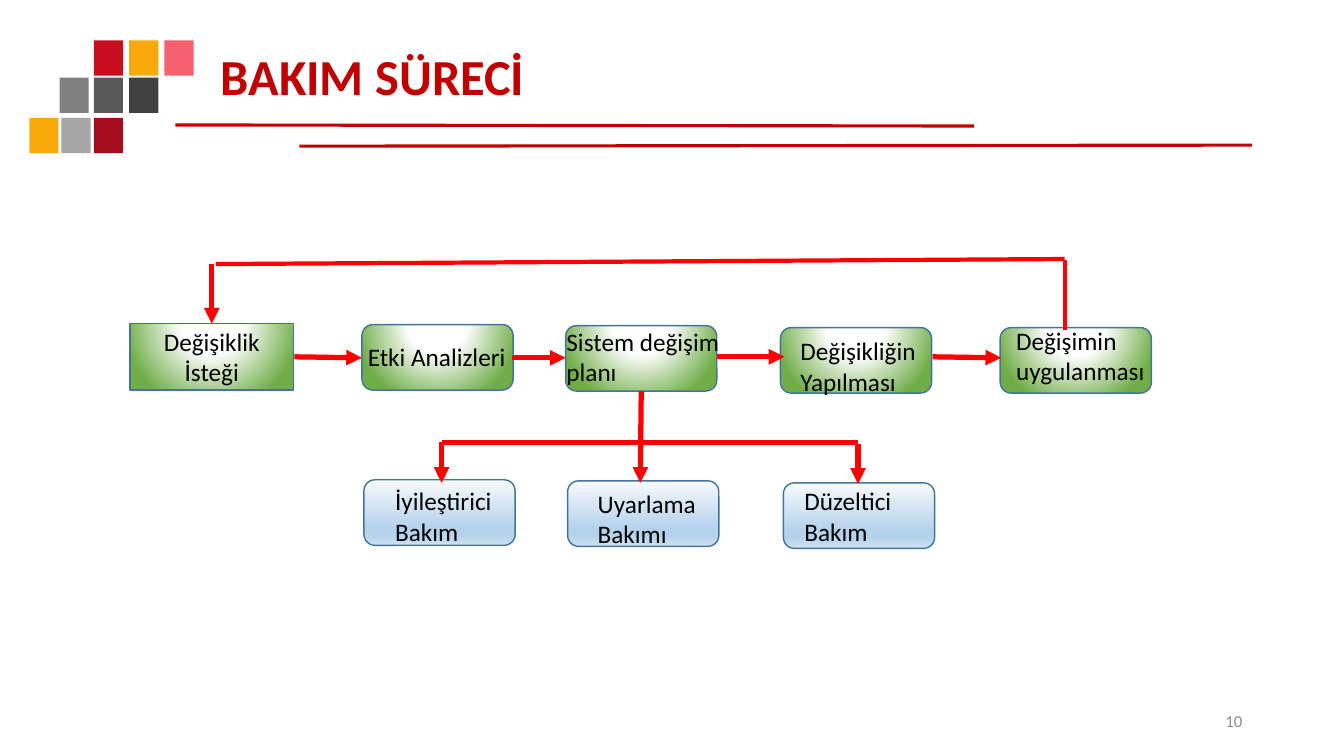
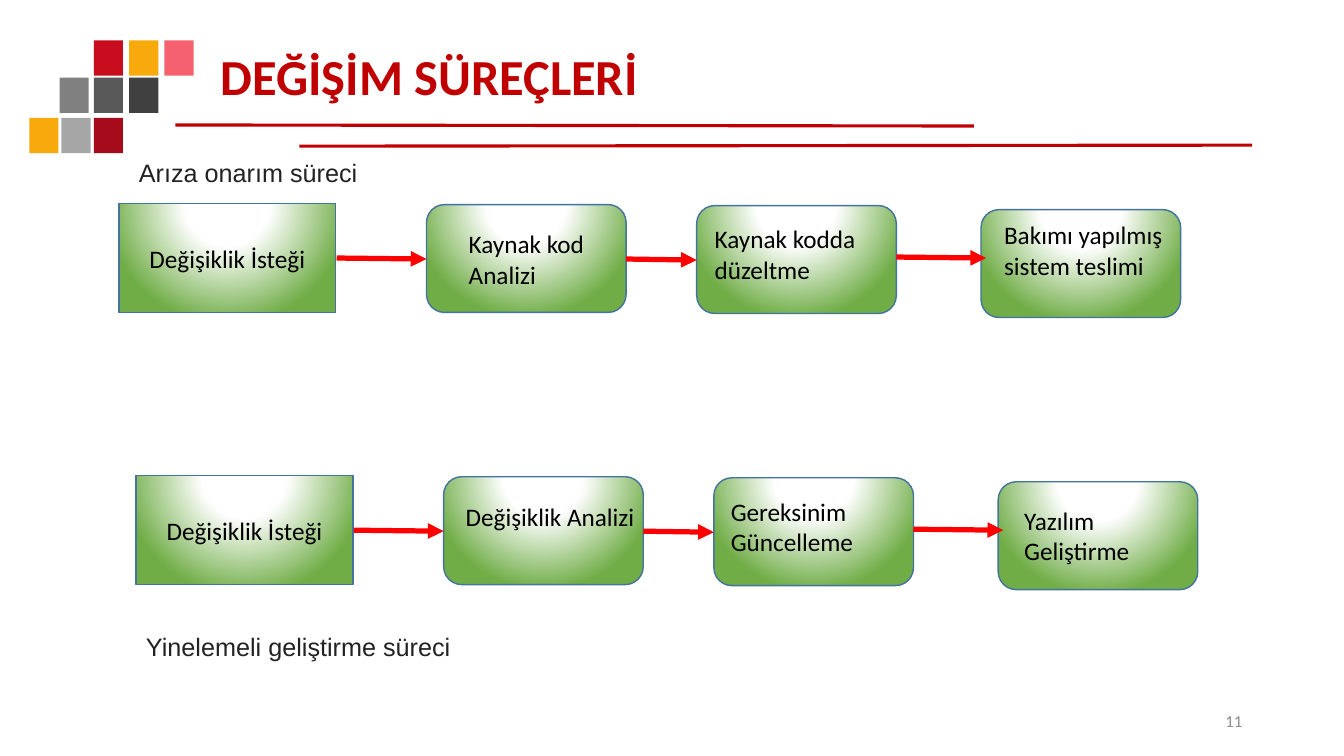
import pptx
import pptx.dml.color
import pptx.enum.shapes
import pptx.enum.text
import pptx.oxml
import pptx.util
import lxml.etree

Inches = pptx.util.Inches
Pt = pptx.util.Pt
RGB = pptx.dml.color.RGBColor
Kind = pptx.enum.shapes.MSO_SHAPE
Align = pptx.enum.text.PP_ALIGN
Anchor = pptx.enum.text.MSO_ANCHOR
NS = "http://schemas.openxmlformats.org/drawingml/2006/main"

RED = RGB(0xC0, 0x00, 0x00)
ARROW = RGB(0xFF, 0x00, 0x00)
EDGE = RGB(0x43, 0x73, 0x9E)
BLACK = RGB(0x00, 0x00, 0x00)
DARK = RGB(0x22, 0x22, 0x22)
GREY = RGB(0x8C, 0x8C, 0x8C)
GOLD = RGB(0xF8, 0xA9, 0x0C)
WHITE = RGB(0xFF, 0xFF, 0xFF)
GREEN = RGB(0x70, 0xAD, 0x47)
PALE = RGB(0xF7, 0xFA, 0xFD)
SKY = RGB(0xB5, 0xD2, 0xEC)
MIST = RGB(0xCE, 0xE1, 0xF2)

TILES = [
    (0.4, [(0.93, RGB(0xC8, 0x0D, 0x1F)), (1.28, GOLD), (1.63, RGB(0xF5, 0x61, 0x6F))]),
    (0.77, [(0.59, RGB(0x80, 0x80, 0x80)), (0.93, RGB(0x59, 0x59, 0x59)),
            (1.28, RGB(0x40, 0x40, 0x40))]),
    (1.17, [(0.29, GOLD), (0.61, RGB(0xA6, 0xA6, 0xA6)), (0.93, RGB(0xA5, 0x0B, 0x1A))]),
]
RULES = [(1.74, 1.24, 9.66, 1.25), (2.97, 1.45, 12.42, 1.44)]

GLOW = ([(0, WHITE), (35, WHITE), (100, GREEN)],
        '<a:path path="circle"><a:fillToRect l="50000" t="-80000" r="50000" b="180000"/></a:path>')
FADE = ([(0, PALE), (74, SKY), (83, SKY), (100, MIST)], '<a:lin ang="5400000" scaled="0"/>')

REQUEST = "Değişiklik İsteği"
CARE = {
    "start": (1.29, 3.21, 1.62, 0.66),
    "size": (1.5, 0.65),
    "steps": [(3.59, 3.22), (5.61, 3.23), (7.74, 3.25), (9.92, 3.25)],
    "kinds": [(3.61, 4.76), (5.63, 4.77), (7.77, 4.79)],
    "lines": [(2.14, 2.62, 10.56, 2.57), (10.56, 2.58, 10.56, 3.27), (4.38, 4.39, 8.51, 4.39)],
    "arrows": [
        (2.92, 3.54, 3.59, 3.55), (5.08, 3.55, 5.61, 3.55), (7.11, 3.54, 7.78, 3.54),
        (9.25, 3.54, 9.93, 3.55), (2.1, 2.62, 2.1, 3.21), (4.38, 4.39, 4.38, 4.79),
        (8.51, 4.4, 8.51, 4.8), (6.36, 3.88, 6.35, 4.79),
    ],
    "labels": [
        (3.55, 3.34, 1.77, "Etki Analizleri"),
        (5.52, 3.19, 1.73, "Sistem değişim\nplanı"),
        (7.84, 3.28, 1.99, "Değişikliğin Yapılması"),
        (9.98, 3.18, 1.66, "Değişimin uygulanması"),
        (3.82, 4.77, 1.29, "İyileştirici\nBakım"),
        (5.83, 4.79, 1.29, "Uyarlama\nBakımı"),
        (7.88, 4.77, 1.29, "Düzeltici\nBakım"),
    ],
}
CHAIN = {
    "start": (1.18, 2.02, 2.15, 1.08),
    "size": (1.98, 1.07),
    "steps": [(4.23, 2.03), (6.91, 2.04), (9.73, 2.08)],
    "arrows": [(3.34, 2.56, 4.23, 2.57), (6.21, 2.57, 6.91, 2.58), (8.89, 2.55, 9.78, 2.56)],
}
REPAIR = [
    (4.55, 2.22, 1.95, "Kaynak kod Analizi"),
    (6.99, 2.17, 1.9, "Kaynak kodda düzeltme"),
    (9.86, 2.13, 1.82, "Bakımı yapılmış sistem teslimi"),
]
GROWTH = [
    (4.52, 4.92, 1.95, "Değişiklik Analizi"),
    (6.99 + 0.16, 4.87, 1.9, "Gereksinim\nGüncelleme"),
    (10.06, 4.96, 1.82, "Yazılım Geliştirme"),
]
SHIFT = (0.17, 2.7)
NOTES = [(1.28, 1.51, 3.74, "Arıza onarım süreci"),
         (1.35, 6.21, 3.4, "Yinelemeli geliştirme süreci")]

BODY = {"name": "Calibri", "size": Pt(18)}
HEAD = {"name": "Calibri", "size": Pt(36), "bold": True}
FOOT = {"name": "Calibri", "size": Pt(12)}
NOTE = {"name": "Arial", "size": Pt(18)}


def apply(thing, looks):
    for key, value in looks.items():
        setattr(thing, key, value)


def write(frame, text, looks, color, align=Align.LEFT, anchor=Anchor.TOP, **extra):
    apply(frame, {"text": text, "word_wrap": True, "vertical_anchor": anchor})
    for para in frame.paragraphs:
        apply(para, {"alignment": align, **extra})
        for run in para.runs:
            apply(run.font, looks)
            run.font.color.rgb = color


def label(slide, left, top, width, text, looks=BODY, color=BLACK, height=0.4, **extra):
    box = slide.shapes.add_textbox(*map(Inches, (left, top, width, height)))
    write(box.text_frame, text, looks, color, **extra)


def blend(shape, fade):
    stops, way = fade
    marks = "".join(f'<a:gs pos="{pos * 1000}"><a:srgbClr val="{color}"/></a:gs>'
                    for pos, color in stops)
    shape._element.spPr.append(pptx.oxml.parse_xml(
        f'<a:gradFill xmlns:a="{NS}" rotWithShape="1"><a:gsLst>{marks}</a:gsLst>{way}</a:gradFill>'))


def block(slide, kind, place, fade):
    shape = slide.shapes.add_shape(kind, *map(Inches, place))
    blend(shape, fade)
    shape.shadow.inherit = False
    shape.line.color.rgb = EDGE
    shape.line.width = Pt(1)
    return shape


def stroke(slide, ends, color, width, arrow=False):
    line = slide.shapes.add_connector(pptx.enum.shapes.MSO_CONNECTOR.STRAIGHT,
                                      *map(Inches, ends))
    line.line.color.rgb = color
    line.line.width = Pt(width)
    if arrow:
        lxml.etree.SubElement(line.line._get_or_add_ln(), f"{{{NS}}}tailEnd", type="triangle")
    lxml.etree.SubElement(line._element.spPr, f"{{{NS}}}effectLst")


def flow(slide, plan, labels, shift=(0, 0)):
    right, down = shift
    left, top, width, height = plan["start"]
    start = block(slide, Kind.RECTANGLE, (left + right, top + down, width, height), GLOW)
    write(start.text_frame, REQUEST, BODY, BLACK, Align.CENTER, Anchor.MIDDLE)
    for part, fade in (("steps", GLOW), ("kinds", FADE)):
        for left, top in plan.get(part, []):
            block(slide, Kind.FLOWCHART_ALTERNATE_PROCESS,
                  (left + right, top + down, *plan["size"]), fade)
    for part, width in (("arrows", 3.75), ("lines", 3)):
        for x1, y1, x2, y2 in plan.get(part, []):
            stroke(slide, (x1 + right, y1 + down, x2 + right, y2 + down),
                   ARROW, width, part == "arrows")
    for item in labels:
        label(slide, *item, height=0.71)


def page(deck, title, number):
    slide = deck.slides.add_slide(deck.slide_layouts[5])
    for top, row in TILES:
        for left, color in row:
            tile = slide.shapes.add_shape(Kind.RECTANGLE, *map(Inches, (left, top, 0.29, 0.35)))
            tile.shadow.inherit = False
            tile.fill.solid()
            tile.fill.fore_color.rgb = color
            tile.line.fill.background()
    for ends in RULES:
        stroke(slide, ends, RED, 2.25)
    head = slide.shapes.title
    apply(head, dict(zip(("left", "top", "width", "height"),
                         map(Inches, (2.09, 0.4, 10.32, 0.77)))))
    head.text_frame.auto_size = pptx.enum.text.MSO_AUTO_SIZE.NONE
    write(head.text_frame, title, HEAD, RED, anchor=Anchor.MIDDLE, line_spacing=0.9)
    label(slide, 9.42, 6.95, 3, str(number), FOOT, GREY, align=Align.RIGHT, anchor=Anchor.MIDDLE)
    return slide


def main():
    deck = pptx.Presentation()
    apply(deck, {"slide_width": Inches(13.33), "slide_height": Inches(7.5)})
    flow(page(deck, "BAKIM SÜRECİ", 10), CARE, CARE["labels"])
    slide = page(deck, "DEĞİŞİM SÜREÇLERİ", 11)
    flow(slide, CHAIN, REPAIR)
    flow(slide, CHAIN, GROWTH, SHIFT)
    for item in NOTES:
        label(slide, *item, NOTE, DARK)
    deck.save("out.pptx")


if __name__ == "__main__":
    main()
